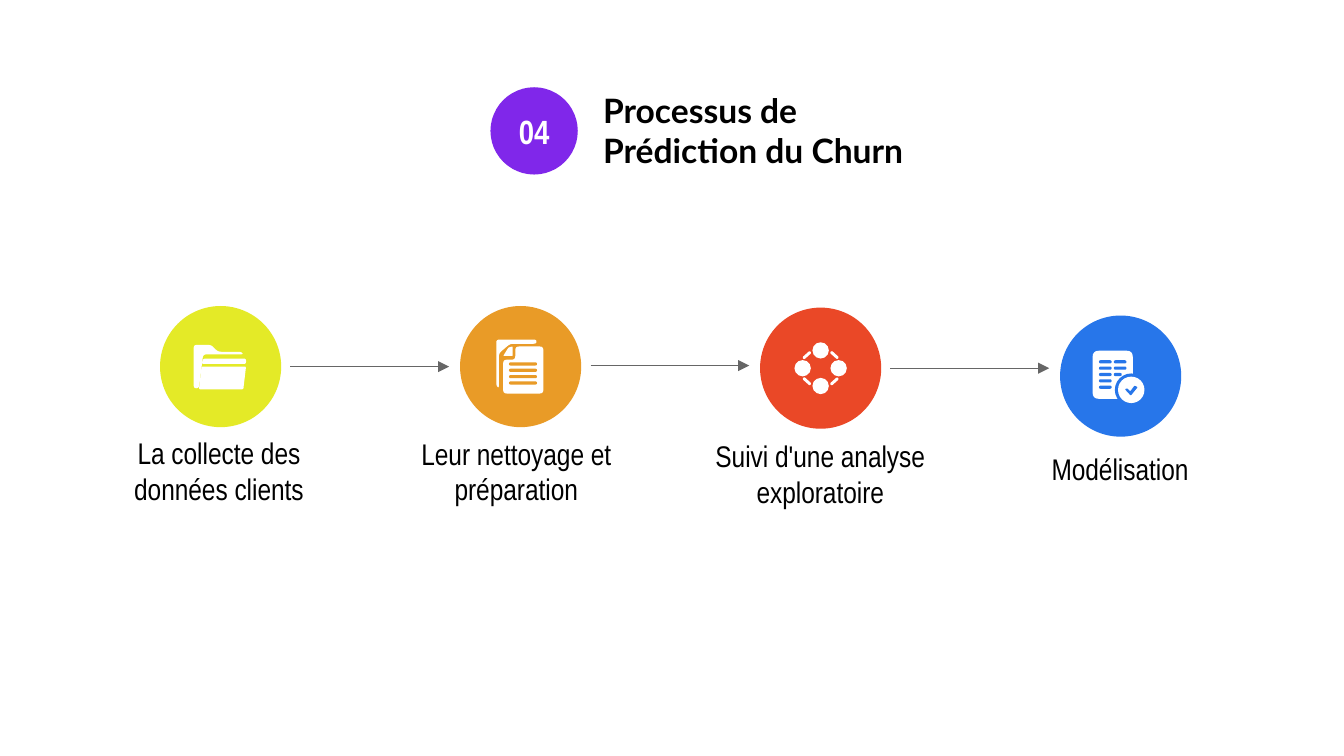
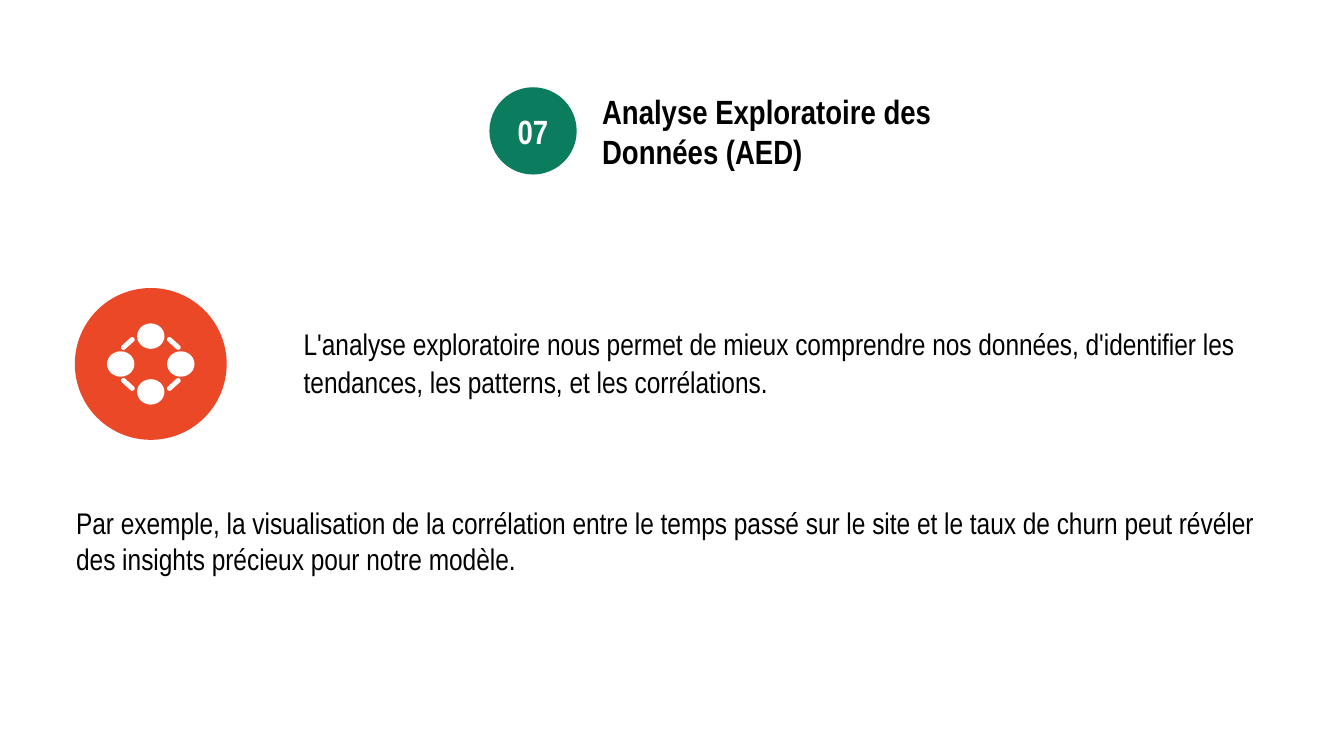
from lxml.etree import SubElement
from pptx import Presentation
from pptx.dml.color import RGBColor
from pptx.enum.shapes import MSO_CONNECTOR as Connector, MSO_SHAPE as Shape
from pptx.enum.text import MSO_ANCHOR as Anchor, PP_ALIGN as Align
from pptx.oxml.ns import qn
from pptx.util import Cm, Pt

# Theme
COLOURS = {
    "white": "FFFFFF", "text": "000000", "arrow": "666666",
    "purple": "8027EA", "green": "0C7C5F", "yellow": "E4EA27",
    "orange": "E99B27", "red": "EA4827", "blue": "2776EA",
}
FONT = "Arial Narrow"
INSET = 0.25
BADGE = 1.65

# Headings: number, badge colour, badge left, text, font, text box
PROCESS_HEADING = ("04", "purple", 9.27, "Processus de Prédiction du Churn",
                   "Lato", (11.15, 2.01, 6.93, 0.91))
ANALYSIS_HEADING = ("07", "green", 9.25, "Analyse Exploratoire des Données (AED)",
                    FONT, (11.13, 1.75, 8.92, 1.45))

# Process steps: icon, disc colour, disc centre y, label, label box
STEPS = [
    ("folder", "yellow", 6.93, "La collecte des données clients", (2.03, 8.1, 4.22, 1.6)),
    ("document", "orange", 6.93, "Leur nettoyage et préparation", (7.65, 8.23, 4.22, 1.35)),
    ("network", "red", 6.96, "Suivi d'une analyse exploratoire", (13.08, 8.28, 4.85, 1.35)),
    ("checklist", "blue", 7.11, "Modélisation", (19.48, 8.18, 3.38, 1.35)),
]
STEP_LEFT, STEP_PITCH, STEP_DISC = 4.17, 5.67, 2.29
ARROW_GAP, ARROW_LENGTH = 1.32, 3.0
ARROW_HEIGHTS = [6.93, 6.91, 6.96]

ANALYSIS_TEXT = ("L'analyse exploratoire nous permet de mieux comprendre nos données, "
                 "d'identifier les tendances, les patterns, et les corrélations.")
EXAMPLE_TEXT = ("Par exemple, la visualisation de la corrélation entre le temps passé sur "
                "le site et le taux de churn peut révéler des insights précieux pour "
                "notre modèle.")

# Icon outlines, in cm from the disc centre, with their corner radius
FOLDER = [
    ([(-0.51, -0.41), (-0.18, -0.41), (-0.05, -0.28), (0.39, -0.28), (0.43, -0.23),
      (-0.33, -0.23), (-0.41, 0.41), (-0.51, 0.41)], 0.06),
    ([(-0.33, -0.15), (0.48, -0.15), (0.48, -0.05), (-0.36, -0.05)], 0.04),
    ([(-0.36, 0), (0.48, 0), (0.43, 0.43), (-0.41, 0.43)], 0.03),
]
DOCUMENT = [
    ([(-0.46, -0.51), (0.3, -0.51), (0.3, -0.43), (-0.2, -0.43), (-0.41, -0.25),
      (-0.41, 0.41), (-0.46, 0.36)], 0.06),
    ([(-0.1, -0.38), (0.43, -0.38), (0.43, 0.51), (-0.33, 0.51), (-0.33, -0.13),
      (-0.1, -0.13)], 0.07),
    ([(-0.15, -0.38), (-0.15, -0.2), (-0.33, -0.2), (-0.23, -0.36)], 0.02),
]
CHECKLIST_PAGE = [([(-0.53, -0.48), (0.23, -0.48), (0.23, 0.43), (-0.53, 0.43)], 0.12)]
CHECK_MARK = [([(0.08, 0.25), (0.12, 0.23), (0.18, 0.29), (0.26, 0.18), (0.32, 0.21),
                (0.19, 0.37)], 0.02)]
LINE_PITCH, LINE_HEIGHT = 0.12, 0.06
DOCUMENT_LINES = [(-0.22, -0.05 + LINE_PITCH * row, 0.53) for row in range(4)]
CHECKLIST_LINES = ([(-0.41, -0.27 + LINE_PITCH * row, 0.24) for row in range(5)]
                   + [(-0.13, -0.27 + LINE_PITCH * row, width)
                      for row, width in enumerate((0.24, 0.24, 0.15))])


def colour(name):
    return RGBColor.from_string(COLOURS[name])


# Basic parts
def paint(shape, fill):
    shape.shadow.inherit = False
    shape.fill.solid()
    shape.fill.fore_color.rgb = colour(fill)
    shape.line.fill.background()
    return shape


def add_centred(shapes, kind, x, y, width, height, fill):
    box = (Cm(v) for v in (x - width / 2, y - height / 2, width, height))
    return paint(shapes.add_shape(kind, *box), fill)


def add_disc(shapes, x, y, size, fill):
    return add_centred(shapes, Shape.OVAL, x, y, size, size, fill)


def write(shape, text, size, font=FONT, fill="text", bold=False, align=Align.LEFT):
    frame = shape.text_frame
    frame.word_wrap = True
    frame.vertical_anchor = Anchor.MIDDLE
    frame.margin_left = frame.margin_right = Cm(INSET)
    frame.margin_top = frame.margin_bottom = Cm(INSET)
    paragraph = frame.paragraphs[0]
    paragraph.text = text
    paragraph.alignment = align
    paragraph.font.name = font
    paragraph.font.size = Pt(size)
    paragraph.font.bold = bold
    paragraph.font.color.rgb = colour(fill)
    return paragraph


def add_text(shapes, box, text, size=16, **style):
    return write(shapes.add_textbox(*(Cm(v) for v in box)), text, size, **style)


def add_arrow(shapes, x, y, length):
    arrow = shapes.add_connector(Connector.STRAIGHT, Cm(x), Cm(y), Cm(x + length), Cm(y))
    arrow.line.color.rgb = colour("arrow")
    arrow.line.width = Pt(0.75)
    SubElement(arrow.line._get_or_add_ln(), qn("a:tailEnd"), type="triangle")
    SubElement(arrow._element.spPr, qn("a:effectLst"))


# Outlines with rounded corners
def toward(start, end, radius):
    dx, dy = end[0] - start[0], end[1] - start[1]
    share = min(0.5, radius / (dx * dx + dy * dy) ** 0.5)
    return start[0] + dx * share, start[1] + dy * share


def round_corners(points, radius, steps=4):
    rounded = []
    for index, corner in enumerate(points):
        begin = toward(corner, points[index - 1], radius)
        end = toward(corner, points[(index + 1) % len(points)], radius)
        for step in range(steps + 1):
            t = step / steps
            rounded.append(tuple((1 - t) ** 2 * a + 2 * t * (1 - t) * b + t * t * c
                                 for a, b, c in zip(begin, corner, end)))
    return rounded


def add_outlines(shapes, x, y, outlines, fill="white"):
    for points, radius in outlines:
        first, *rest = [(Cm(x + dx), Cm(y + dy)) for dx, dy in round_corners(points, radius)]
        builder = shapes.build_freeform(*first)
        builder.add_line_segments(rest, close=True)
        paint(builder.convert_to_shape(), fill)


def add_lines(shapes, x, y, lines, fill):
    for left, middle, width in lines:
        line = add_centred(shapes, Shape.ROUNDED_RECTANGLE, x + left + width / 2,
                           y + middle, width, LINE_HEIGHT, fill)
        line.adjustments[0] = 0.5


# Icons
def draw_folder(shapes, x, y, disc_fill):
    add_outlines(shapes, x, y, FOLDER)


def draw_document(shapes, x, y, disc_fill):
    add_outlines(shapes, x, y, DOCUMENT)
    add_lines(shapes, x, y, DOCUMENT_LINES, disc_fill)


def draw_network(shapes, x, y, disc_fill, width=1.0, height=0.99):
    for dx, dy in ((0, -1), (-1, 0), (1, 0), (0, 1)):
        add_centred(shapes, Shape.OVAL, x + dx * width * 0.34, y + dy * height * 0.34,
                    width * 0.31, height * 0.31, "white")
    for dx, dy in ((-1, -1), (1, 1), (-1, 1), (1, -1)):
        dash = add_centred(shapes, Shape.ROUNDED_RECTANGLE, x + dx * width * 0.26,
                           y + dy * height * 0.25, width * 0.19, width * 0.055, "white")
        dash.adjustments[0] = 0.5
        dash.rotation = -42 * dx * dy


def draw_checklist(shapes, x, y, disc_fill):
    add_outlines(shapes, x, y, CHECKLIST_PAGE)
    add_lines(shapes, x, y, CHECKLIST_LINES, disc_fill)
    for size, fill in ((0.62, disc_fill), (0.5, "white")):
        add_disc(shapes, x + 0.2, y + 0.26, size, fill)
    add_outlines(shapes, x, y, CHECK_MARK, disc_fill)


ICONS = {"folder": draw_folder, "document": draw_document,
         "network": draw_network, "checklist": draw_checklist}


def add_icon(slide, icon, x, y, size, fill, **extent):
    add_disc(slide.shapes, x, y, size, fill)
    ICONS[icon](slide.shapes.add_group_shape().shapes, x, y, fill, **extent)


# Slides
def add_slide(presentation, heading):
    number, fill, left, text, font, box = heading
    slide = presentation.slides.add_slide(presentation.slide_layouts[6])
    slide.background.fill.solid()
    slide.background.fill.fore_color.rgb = colour("white")
    shapes = slide.shapes.add_group_shape().shapes
    add_text(shapes, box, text, 18, font=font, bold=True)
    badge = add_disc(shapes, left + BADGE / 2, 1.65 + BADGE / 2, BADGE, fill)
    write(badge, number, 18, fill="white", bold=True, align=Align.CENTER)
    return slide


def build_process(presentation):
    slide = add_slide(presentation, PROCESS_HEADING)
    centres = [STEP_LEFT + STEP_PITCH * index for index in range(len(STEPS))]
    for x, (icon, fill, y, label, box) in zip(centres, STEPS):
        add_icon(slide, icon, x, y, STEP_DISC, fill)
        add_text(slide.shapes, box, label, align=Align.CENTER)
    for x, y in zip(centres, ARROW_HEIGHTS):
        add_arrow(slide.shapes, x + ARROW_GAP, y, ARROW_LENGTH)


def build_analysis(presentation):
    slide = add_slide(presentation, ANALYSIS_HEADING)
    paragraph = add_text(slide.shapes, (5.49, 5.64, 19.02, 2.39), ANALYSIS_TEXT)
    paragraph.line_spacing = 1.07
    paragraph.space_after = Pt(8)
    add_icon(slide, "network", 2.85, 6.88, 2.87, "red", width=1.67, height=1.55)
    add_text(slide.shapes, (1.19, 9.4, 23.34, 1.63), EXAMPLE_TEXT)


def main():
    presentation = Presentation()
    presentation.slide_width, presentation.slide_height = Cm(25.4), Cm(14.29)
    build_process(presentation)
    build_analysis(presentation)
    presentation.save("out.pptx")


if __name__ == "__main__":
    main()
